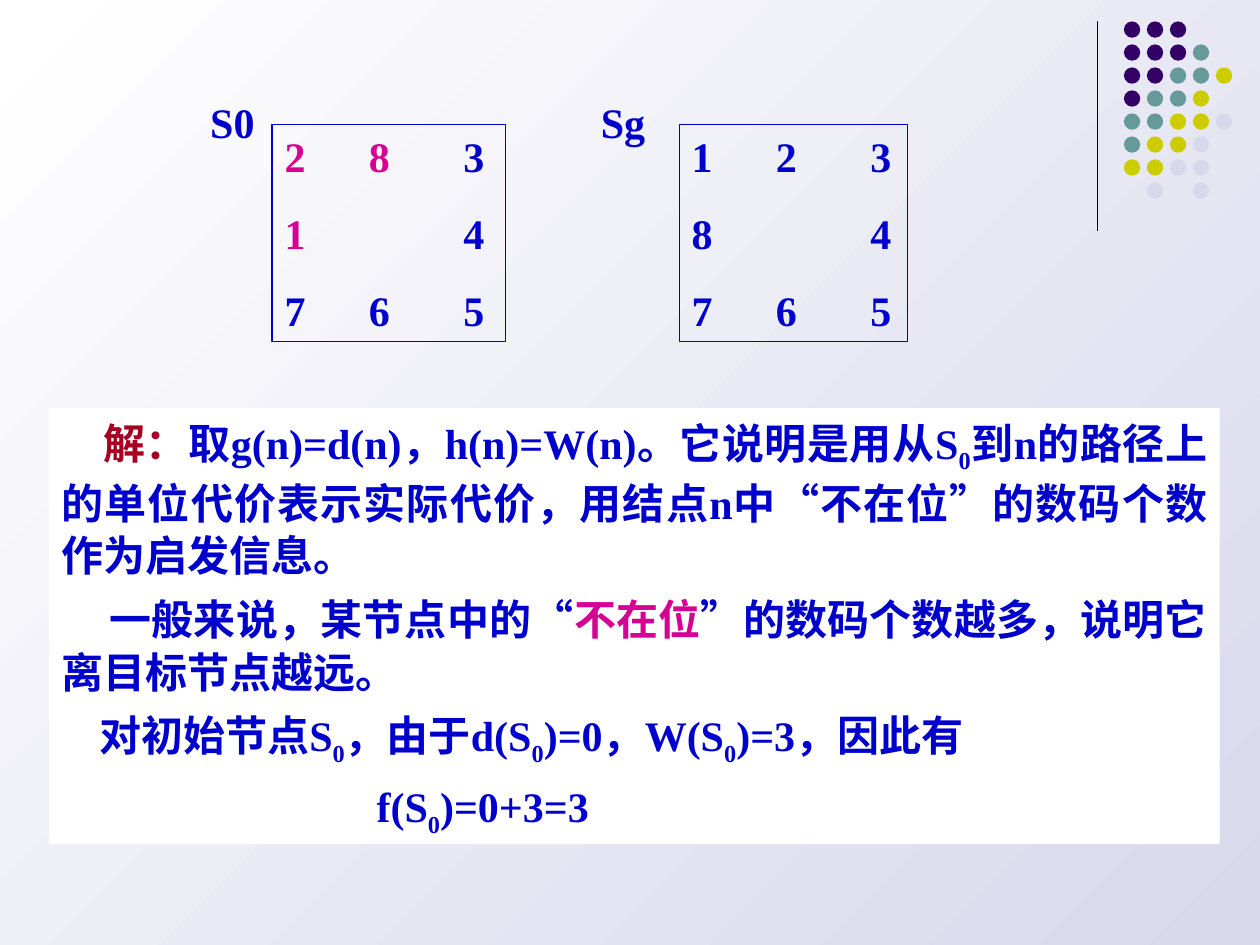
from pptx import Presentation
from pptx.dml.color import RGBColor
from pptx.enum.shapes import MSO_CONNECTOR as CONNECTOR, MSO_SHAPE as SHAPE
from pptx.enum.text import MSO_ANCHOR as ANCHOR, PP_ALIGN as ALIGN
from pptx.oxml.ns import qn
from pptx.util import Inches, Pt
from lxml.etree import SubElement

FONT = "Times New Roman"
BLUE, PINK, RED = "0000CC", "D60093", "A50021"
PURPLE, TEAL, LIME, PALE = "330066", "669999", "CCCC00", "D8D8EC"
WHITE, BLACK = "FFFFFF", "000000"

DOT_COLOURS = {"P": PURPLE, "T": TEAL, "L": LIME, "W": PALE}
DOT_ROWS = ["PPP", "PPPT", "PPTTL", "PTTL", "TTLLW", "TLLW", "LLWW", " W W"]

# Each puzzle row is a list of (text, colour) runs with tabs between columns.
START_ROWS = [
    [("2\t8", PINK), ("\t3", BLUE)],
    [("1", PINK), ("\t\t4", BLUE)],
    [("7\t6\t5", BLUE)],
]
GOAL_ROWS = [[("1\t2\t3", BLUE)], [("8\t\t4", BLUE)], [("7\t6\t5", BLUE)]]

# (first-line indent, alignment, runs); text between bars is subscript.
SOLUTION = [
    (0.33, ALIGN.JUSTIFY, [
        ("解：", RED),
        ("取g(n)=d(n)，h(n)=W(n)。它说明是用从S|0|到n的路径上的单位代价表示实际代价，"
         "用结点n中“不在位”的数码个数作为启发信息。", BLUE)]),
    (0.38, ALIGN.JUSTIFY, [
        ("一般来说，某节点中的“", BLUE),
        ("不在位", PINK),
        ("”的数码个数越多，说明它离目标节点越远。", BLUE)]),
    (0.3, ALIGN.JUSTIFY, [
        ("对初始节点S|0|，由于d(S|0|)=0，W(S|0|)=3，因此有", BLUE)]),
    (2.5, ALIGN.LEFT, [("f(S|0|)=0+3=3", BLUE)]),
]


def rgb(colour):
    return RGBColor.from_string(colour)


def add_box(shapes, kind, left, top, width, height, fill=None, line=None):
    box = shapes.add_shape(kind, Inches(left), Inches(top), Inches(width), Inches(height))
    box.shadow.inherit = False
    if fill:
        box.fill.solid()
        box.fill.fore_color.rgb = rgb(fill)
    else:
        box.fill.background()
    if line:
        box.line.color.rgb = rgb(line)
        box.line.width = Pt(0.75)
    else:
        box.line.fill.background()
    return box


def add_paragraphs(frame, count, space_before):
    """Yield the paragraphs of the frame, spaced from the second one on."""
    frame.word_wrap = True
    frame.vertical_anchor = ANCHOR.TOP
    for index in range(count):
        paragraph = frame.add_paragraph() if index else frame.paragraphs[0]
        paragraph.alignment = ALIGN.LEFT
        if index:
            paragraph.space_before = Pt(space_before)
        yield paragraph


def set_tabs(paragraph, stops):
    tab_list = SubElement(paragraph._p.get_or_add_pPr(), qn("a:tabLst"))
    for stop in stops:
        SubElement(tab_list, qn("a:tab"), pos=str(Inches(stop)), algn="l")


def add_runs(paragraph, runs):
    """Add (text, colour) runs; every second part between bars is subscript."""
    for text, colour in runs:
        for index, part in enumerate(text.split("|")):
            run = paragraph.add_run()
            run.text = part
            font = run.font
            font.name, font.size, font.bold = FONT, Pt(24), True
            font.color.rgb = rgb(colour)
            if index % 2:
                run._r.get_or_add_rPr().set("baseline", "-25000")


def add_background(slide):
    fill = slide.background.fill
    fill.gradient()
    fill.gradient_angle = 135
    for stop, colour in zip(fill.gradient_stops, (PALE, WHITE)):
        stop.color.rgb = rgb(colour)


def add_corner_ornament(slide, left, top):
    rule = slide.shapes.add_connector(
        CONNECTOR.STRAIGHT, Inches(left), Inches(top), Inches(left), Inches(top + 1.66))
    rule.line.color.rgb = rgb(BLACK)
    rule.line.width = Pt(0.75)
    SubElement(rule._element.spPr, qn("a:effectLst"))

    dots = slide.shapes.add_group_shape().shapes
    pitch = 0.73 / 4
    for row, codes in enumerate(DOT_ROWS):
        for column, code in enumerate(codes):
            if code in DOT_COLOURS:
                add_box(dots, SHAPE.OVAL, left + 0.21 + column * pitch, top + row * pitch,
                        0.13, 0.13, fill=DOT_COLOURS[code])


def add_solution(slide, left, top, width, height):
    panel = add_box(slide.shapes, SHAPE.RECTANGLE, left, top, width, height, fill=WHITE)
    paragraphs = add_paragraphs(panel.text_frame, len(SOLUTION), 6)
    for paragraph, (indent, alignment, runs) in zip(paragraphs, SOLUTION):
        paragraph.alignment = alignment
        paragraph.line_spacing = 1.05
        paragraph._p.get_or_add_pPr().set("indent", str(Inches(indent)))
        add_runs(paragraph, runs)


def add_puzzle(slide, left, top, width, height, rows):
    board = add_box(slide.shapes, SHAPE.RECTANGLE, left, top, width, height, line=BLUE)
    for paragraph, runs in zip(add_paragraphs(board.text_frame, len(rows), 15), rows):
        set_tabs(paragraph, (0.67, 1.42))
        add_runs(paragraph, runs)


def add_state_labels(slide, left, top, width, height):
    labels = slide.shapes.add_textbox(
        Inches(left), Inches(top), Inches(width), Inches(height))
    for paragraph in add_paragraphs(labels.text_frame, 1, 0):
        set_tabs(paragraph, [3.1])
        add_runs(paragraph, [("S0\tSg", BLUE)])


def main():
    deck = Presentation()
    deck.slide_width, deck.slide_height = Inches(10), Inches(7.5)
    slide = deck.slides.add_slide(deck.slide_layouts[6])
    add_background(slide)
    add_corner_ornament(slide, 8.71, 0.17)
    add_solution(slide, 0.39, 3.24, 9.29, 3.46)
    add_puzzle(slide, 2.16, 0.99, 1.85, 1.72, START_ROWS)
    add_puzzle(slide, 5.39, 0.99, 1.81, 1.72, GOAL_ROWS)
    add_state_labels(slide, 1.57, 0.72, 3.78, 0.5)
    deck.save("out.pptx")


if __name__ == "__main__":
    main()
